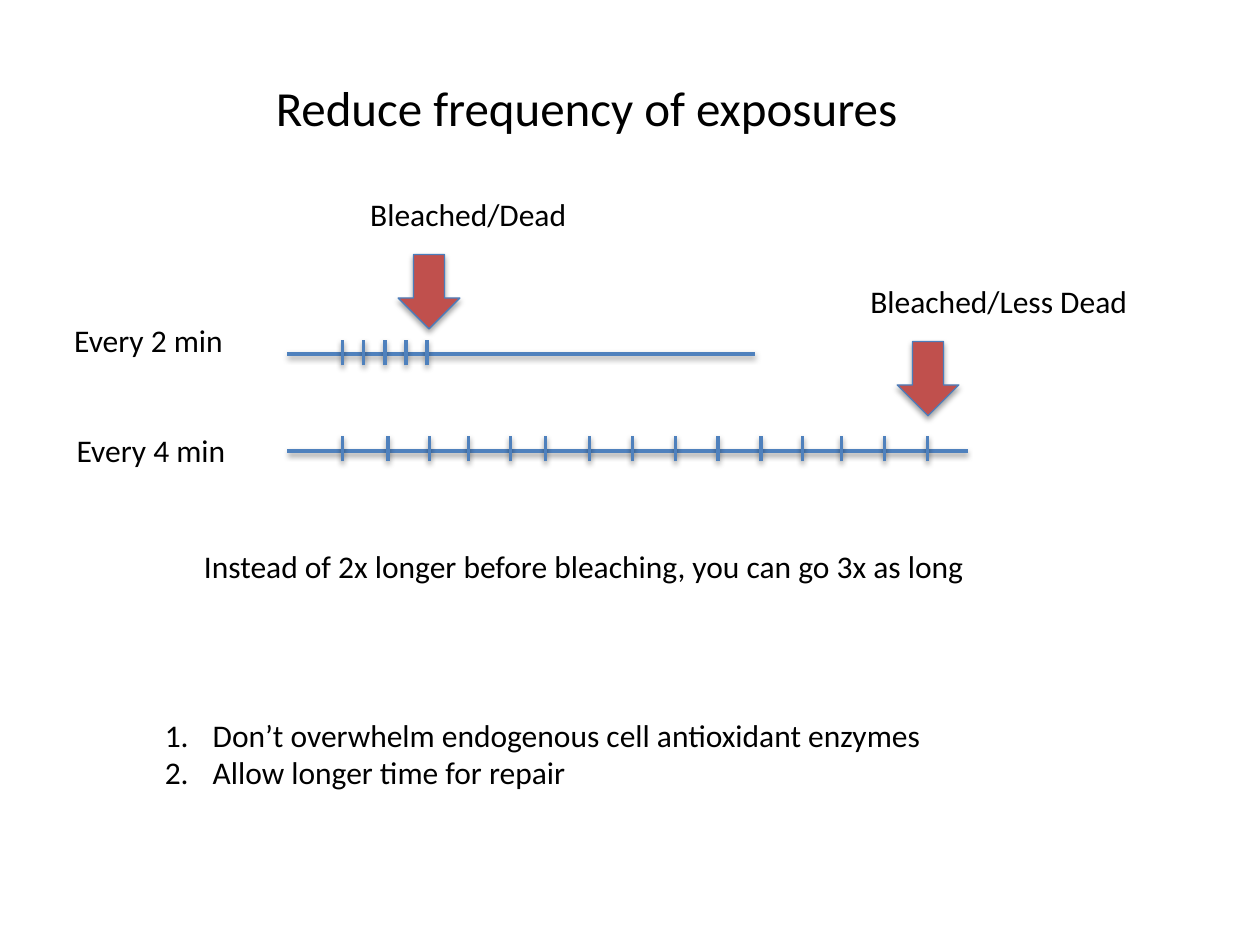
from lxml import etree
from pptx import Presentation
from pptx.dml.color import RGBColor
from pptx.enum.shapes import MSO_CONNECTOR, MSO_SHAPE
from pptx.enum.text import MSO_AUTO_SIZE
from pptx.oxml import parse_xml
from pptx.oxml.ns import nsdecls, qn
from pptx.util import Inches, Pt

STRAIGHT = MSO_CONNECTOR.STRAIGHT
DOWN_ARROW = MSO_SHAPE.DOWN_ARROW
FIT_TEXT = MSO_AUTO_SIZE.SHAPE_TO_FIT_TEXT
color = RGBColor.from_string


def add_shadow(shape, distance, opacity):
    shape._element.spPr.append(parse_xml(
        f'<a:effectLst {nsdecls("a")}>'
        f'<a:outerShdw blurRad="{Pt(3.15)}" dist="{Pt(distance)}" dir="5400000" rotWithShape="0">'
        f'<a:srgbClr val="000000"><a:alpha val="{opacity * 1000}"/></a:srgbClr>'
        '</a:outerShdw></a:effectLst>'))


def add_text(left, top, width, height, lines, size=18, numbered=False):
    box = slide.shapes.add_textbox(Inches(left), Inches(top), Inches(width), Inches(height))
    text_frame = box.text_frame
    text_frame.word_wrap = False
    text_frame.auto_size = FIT_TEXT
    text_frame.text = "\n".join(lines)
    for paragraph in text_frame.paragraphs:
        if numbered:
            properties = paragraph._p.get_or_add_pPr()
            properties.set("marL", str(Inches(0.38)))
            properties.set("indent", str(Inches(-0.38)))
            numbering = etree.SubElement(properties, qn("a:buAutoNum"))
            numbering.set("type", "arabicPeriod")
        for run in paragraph.runs:
            run.font.name = "Calibri"
            run.font.size = Pt(size)
            run.font.color.rgb = color("000000")


presentation = Presentation()
presentation.slide_width = Inches(10)
presentation.slide_height = Inches(7.5)
slide = presentation.slides.add_slide(presentation.slide_layouts[6])

# Title
add_text(2.09, 0.57, 5.21, 0.57, ["Reduce frequency of exposures"], size=28)

# Timelines: line height, line end, tick bottom, tick positions
timelines = [
    (2.81, 5.99, 2.9, [2.72 + 0.167 * tick for tick in range(5)]),
    (3.58, 7.68, 3.66, [2.72, 3.08, 3.41, 3.72, 4.05, 4.33, 4.68, 5.02,
                        5.36, 5.7, 6.04, 6.37, 6.68, 7.02, 7.36]),
]
for line_y, line_end, tick_bottom, ticks in timelines:
    segments = [(2.28, line_y, line_end, line_y)]
    segments += [(x, tick_bottom, x, tick_bottom - 0.2) for x in ticks]
    for segment in segments:
        connector = slide.shapes.add_connector(STRAIGHT, *map(Inches, segment))
        connector.line.color.rgb = color("4F81BD")
        connector.line.width = Pt(2)
        add_shadow(connector, 1.6, 38)

# Arrows marking the bleaching points
for left, top in [(3.16, 2.02), (7.12, 2.71)]:
    arrow = slide.shapes.add_shape(DOWN_ARROW, Inches(left), Inches(top), Inches(0.49), Inches(0.59))
    arrow.fill.solid()
    arrow.fill.fore_color.rgb = color("C0504D")
    arrow.line.color.rgb = color("4B7EBC")
    arrow.line.width = Pt(0.75)
    add_shadow(arrow, 1.8, 35)

# Labels and conclusion
labels = [
    (2.84, 1.5, 1.77, "Bleached/Dead"),
    (6.81, 2.19, 2.26, "Bleached/Less Dead"),
    (0.49, 2.5, 1.4, "Every 2 min"),
    (0.51, 3.37, 1.4, "Every 4 min"),
    (1.52, 4.29, 6.31, "Instead of 2x longer before bleaching, you can go 3x as long"),
]
for left, top, width, text in labels:
    add_text(left, top, width, 0.4, [text])

# Numbered reasons
add_text(1.21, 5.63, 6.27, 0.71, [
    "Don’t overwhelm endogenous cell antioxidant enzymes",
    "Allow longer time for repair",
], numbered=True)

presentation.save("out.pptx")
